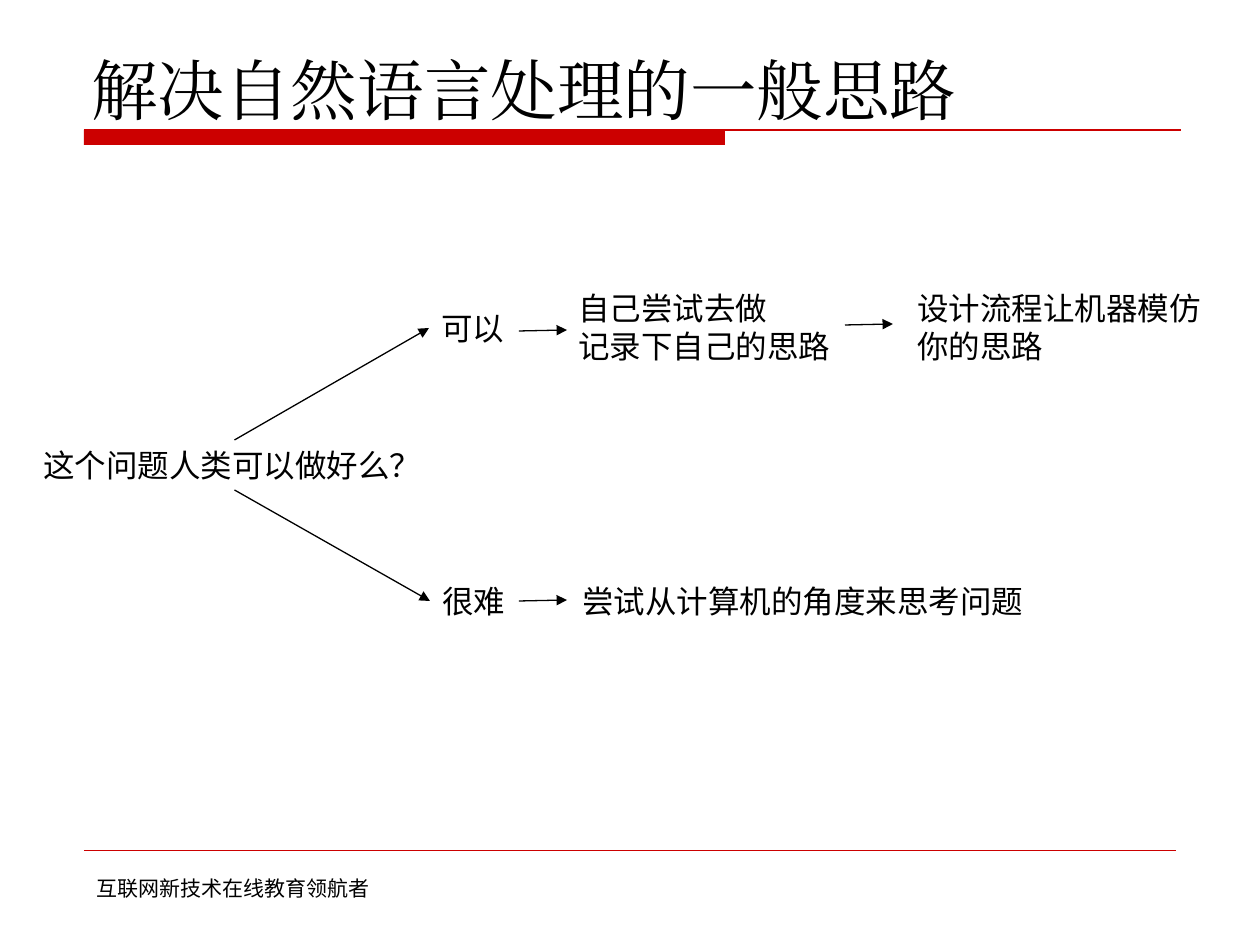
from lxml import etree
from pptx import Presentation
from pptx import util as u
from pptx.dml.color import RGBColor
from pptx.enum import shapes, text
from pptx.oxml import ns

SCALE = 914400 / 126
BLACK = RGBColor(0x00, 0x00, 0x00)
RED = RGBColor(0xCC, 0x00, 0x00)
TOP, LEFT = 0, 1


def px(length):
    return u.Emu(round(length * SCALE))


def add_text(page, box, lines, size, font, wrap=False, anchor=text.MSO_ANCHOR.TOP):
    label = page.shapes.add_textbox(*map(px, box))
    frame = label.text_frame
    frame.word_wrap = wrap
    frame.vertical_anchor = anchor
    for index, line in enumerate(lines):
        para = frame.add_paragraph() if index else frame.paragraphs[0]
        span = para.add_run()
        span.text = line
        span.font.size = u.Pt(size)
        span.font.name = font
        span.font.color.rgb = BLACK
        east_asian = etree.SubElement(span.font._element, ns.qn("a:ea"))
        east_asian.set("typeface", font)
    return label


def add_line(page, start, end, color, width, arrow=False):
    line = page.shapes.add_connector(
        shapes.MSO_CONNECTOR.STRAIGHT, *map(px, (*start, *end)))
    line.line.color.rgb = color
    line.line.width = u.Pt(width)
    if arrow:
        tail = etree.SubElement(line.line._get_or_add_ln(), ns.qn("a:tailEnd"))
        tail.set("type", "triangle")
    etree.SubElement(line._element.spPr, ns.qn("a:effectLst"))
    return line


def add_header(page, left, top, width, title):
    """Title above a thin rule whose left part is a thick bar."""
    rule_y = top + 88
    bar = page.shapes.add_shape(
        shapes.MSO_SHAPE.RECTANGLE, *map(px, (left, rule_y, 641, 15)))
    bar.shadow.inherit = False
    bar.fill.solid()
    bar.fill.fore_color.rgb = RED
    bar.line.fill.background()
    add_line(page, (left, rule_y), (left + width, rule_y), RED, 0.75)
    add_text(page, (left - 5, top, width + 6, 93), [title], 38,
             "Times New Roman", wrap=True, anchor=text.MSO_ANCHOR.BOTTOM)


def add_footer(page, left, top, width, slogan):
    add_line(page, (left, top), (left + width, top), RED, 0.25)
    add_text(page, (left, top + 19, 301, 38), [slogan], 12, "Noto Sans CJK SC")


def add_decision_tree(page, left, top):
    """Question that branches into two answers, each followed by its steps."""
    def node(x, y, width, height, *lines):
        return add_text(page, (left + x, top + y, width, height), lines, 18,
                        "DejaVu Sans")

    question = node(0, 157, 407, 50, "这个问题人类可以做好么？")
    possible = node(398, 20, 89, 50, "可以")
    difficult = node(399, 293, 89, 50, "很难")
    node(535, 0, 280, 89, "自己尝试去做", "记录下自己的思路")
    node(874, 0, 311, 89, "设计流程让机器模仿", "你的思路")
    node(539, 293, 471, 55, "尝试从计算机的角度来思考问题")

    for side, answer in ((TOP, possible), (2, difficult)):
        branch = add_line(page, (0, 0), (1, 1), BLACK, 0.75, arrow=True)
        branch.begin_connect(question, side)
        branch.end_connect(answer, LEFT)

    for x, y in ((814, 42), (488, 48), (488, 318)):
        start = (left + x, top + y)
        add_line(page, start, (start[0] + 48, start[1] - 1), BLACK, 0.75, arrow=True)


def main():
    deck = Presentation()
    deck.slide_width, deck.slide_height = px(1260), px(945)
    page = deck.slides.add_slide(deck.slide_layouts[6])
    add_header(page, 84, 42, 1097, "解决自然语言处理的一般思路")
    add_footer(page, 84, 850, 1092, "互联网新技术在线教育领航者")
    add_decision_tree(page, 31, 283)
    deck.save("out.pptx")


if __name__ == "__main__":
    main()
